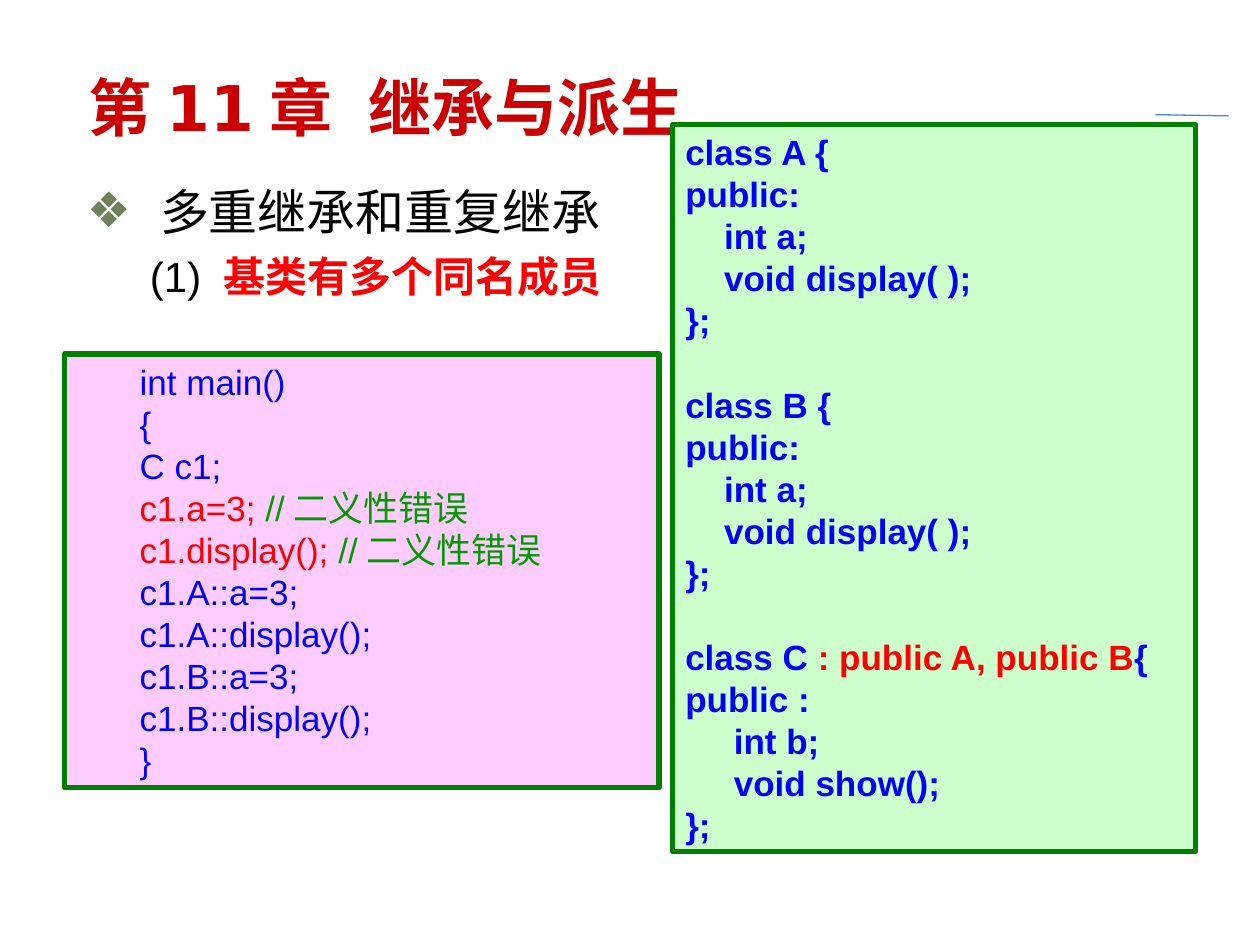
from lxml import etree
from pptx import Presentation
from pptx.dml.color import RGBColor
from pptx.enum.shapes import MSO_CONNECTOR, MSO_SHAPE
from pptx.enum.text import MSO_ANCHOR, MSO_AUTO_SIZE, PP_ALIGN
from pptx.oxml.ns import qn
from pptx.util import Inches, Pt

LEFT = PP_ALIGN.LEFT
TOP, MIDDLE = MSO_ANCHOR.TOP, MSO_ANCHOR.MIDDLE
NO_FIT = MSO_AUTO_SIZE.NONE
RECTANGLE = MSO_SHAPE.RECTANGLE
STRAIGHT = MSO_CONNECTOR.STRAIGHT

BLACK = RGBColor(0x00, 0x00, 0x00)
CRIMSON = RGBColor(0xCC, 0x00, 0x00)
RED = RGBColor(0xFF, 0x00, 0x00)
BLUE = RGBColor(0x00, 0x00, 0xFF)
COMMENT_GREEN = RGBColor(0x00, 0x99, 0x00)
BORDER_GREEN = RGBColor(0x00, 0x80, 0x00)
PALE_GREEN = RGBColor(0xCC, 0xFF, 0xCC)
PALE_PINK = RGBColor(0xFF, 0xCC, 0xFF)
RULE_BLUE = RGBColor(0x43, 0x8A, 0xCB)
BULLET_OLIVE = "6E815B"

LINE_FACTOR = 1.2
CODE_SIZE = 20


def class_lines(name):
    return [f"class {name} {{", "public:", "    int a;", "    void display( );", "};", ""]


CLASS_CODE = class_lines("A") + class_lines("B") + [
    [("class C", BLUE), (" : public A, public B", RED), ("{", BLUE)],
    "public :", "     int b;", "     void show();", "};",
]
MAIN_CODE = [
    "int main()", "{", "C c1;",
    *[[(f"{call}; ", RED), ("//二义性错误", COMMENT_GREEN)]
      for call in ("c1.a=3", "c1.display()")],
    *[f"c1.{base}::{call};" for base in "AB" for call in ("a=3", "display()")],
    "}",
]


def apply_format(target, values):
    for name, value in values.items():
        setattr(target, name, value)


def place(shape, box):
    shape.left, shape.top, shape.width, shape.height = (Inches(value) for value in box)


def add_span(para, text, color, size, name="Arial", bold=False):
    span = para.add_run()
    span.text = text
    apply_format(span.font, {"name": name, "size": Pt(size), "bold": bold})
    span.font.color.rgb = color
    return span


def format_para(para, size, before=0):
    apply_format(para, {
        "alignment": LEFT,
        "line_spacing": Pt(size * LINE_FACTOR),
        "space_before": Pt(before),
        "space_after": Pt(0),
    })


def set_indent(para, margin, hanging=0):
    properties = para._p.get_or_add_pPr()
    properties.set("marL", str(Inches(margin)))
    properties.set("indent", str(-Inches(hanging)))
    return properties


def fill_title(title, box):
    place(title, box)
    apply_format(title.text_frame,
                 {"vertical_anchor": MIDDLE, "auto_size": NO_FIT, "word_wrap": True})
    para = title.text_frame.paragraphs[0]
    para.alignment = LEFT
    style = {"color": CRIMSON, "size": 36, "name": "DejaVu Sans", "bold": True}
    add_span(para, "第11章", **style)
    gap = add_span(para, " ", **style)
    gap._r.get_or_add_rPr().set("spc", "1250")
    add_span(para, "继承与派生", **style)


def fill_body(body, box):
    place(body, box)
    frame = body.text_frame
    apply_format(frame, {"vertical_anchor": TOP, "auto_size": NO_FIT, "word_wrap": True})

    topic = frame.paragraphs[0]
    format_para(topic, 28)
    properties = set_indent(topic, 0.58, 0.58)
    bullet_color = etree.SubElement(properties, qn("a:buClr"))
    etree.SubElement(bullet_color, qn("a:srgbClr"), val=BULLET_OLIVE)
    etree.SubElement(properties, qn("a:buChar"), char="❖")
    add_span(topic, "多重继承和重复继承", BLACK, 28, "DejaVu Sans")

    point = frame.add_paragraph()
    point.level = 1
    format_para(point, 24, before=6)
    etree.SubElement(set_indent(point, 0.5), qn("a:buNone"))
    add_span(point, "(1) ", BLACK, 24)
    add_span(point, "基类有多个同名成员", RED, 24, bold=True)


def add_code_box(page, box, lines, fill, margin=0, bold=False):
    panel = page.shapes.add_shape(RECTANGLE, *(Inches(value) for value in box))
    panel.shadow.inherit = False
    panel.fill.solid()
    panel.fill.fore_color.rgb = fill
    panel.line.color.rgb = BORDER_GREEN
    panel.line.width = Pt(3)
    frame = panel.text_frame
    apply_format(frame, {"vertical_anchor": TOP, "auto_size": NO_FIT, "word_wrap": True})
    for index, line in enumerate(lines):
        para = frame.add_paragraph() if index else frame.paragraphs[0]
        format_para(para, CODE_SIZE)
        set_indent(para, margin)
        spans = [(line, BLUE)] if isinstance(line, str) else line
        for text, color in spans:
            if text:
                add_span(para, text, color, CODE_SIZE, bold=bold)


def add_corner_rule(page, start, end):
    rule = page.shapes.add_connector(STRAIGHT, *(Inches(value) for value in start + end))
    rule.line.color.rgb = RULE_BLUE
    rule.line.width = Pt(0.75)
    etree.SubElement(rule._element.spPr, qn("a:effectLst"))


def main():
    deck = Presentation()
    deck.slide_width, deck.slide_height = Inches(10), Inches(7.5)
    page = deck.slides.add_slide(deck.slide_layouts[1])
    add_corner_rule(page, (9.17, 0.91), (9.75, 0.92))
    fill_title(page.shapes.title, (0.6, 0.53, 8.49, 0.62))
    fill_body(page.placeholders[1], (0.59, 1.39, 9.14, 5.75))
    add_code_box(page, (5.34, 0.99, 4.15, 5.77), CLASS_CODE, PALE_GREEN, bold=True)
    add_code_box(page, (0.51, 2.81, 4.72, 3.44), MAIN_CODE, PALE_PINK, margin=0.5)
    deck.save("out.pptx")


if __name__ == "__main__":
    main()
